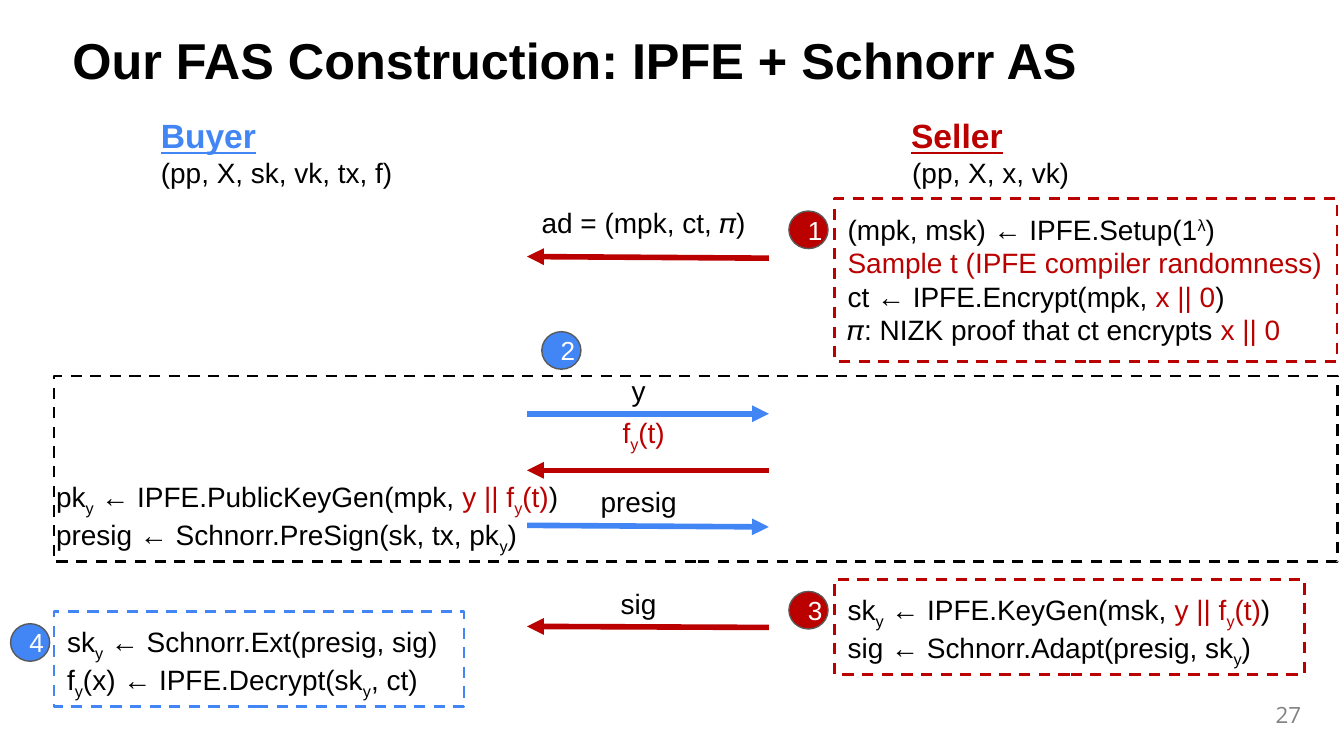
import pptx
import pptx.util
import pptx.dml.color
import pptx.enum.dml
import pptx.enum.shapes
import pptx.enum.text
import pptx.oxml.ns
import lxml.etree

Cm = pptx.util.Cm
Pt = pptx.util.Pt
Kind = pptx.enum.shapes.MSO_SHAPE
Align = pptx.enum.text.PP_ALIGN
Anchor = pptx.enum.text.MSO_ANCHOR
qn = pptx.oxml.ns.qn


class Theme:
    black = pptx.dml.color.RGBColor.from_string("000000")
    white = pptx.dml.color.RGBColor.from_string("FFFFFF")
    red = pptx.dml.color.RGBColor.from_string("BB0000")
    blue = pptx.dml.color.RGBColor.from_string("4285F4")
    edge = pptx.dml.color.RGBColor.from_string("595959")
    gray = pptx.dml.color.RGBColor.from_string("828282")
    title = Pt(27)
    head = Pt(18)
    body = Pt(15)
    badge = Pt(14)
    page = Pt(12)


def write(shape, text, size=Theme.body, color=Theme.black, font="Arial", bold=False,
          line=False, align=Align.LEFT, anchor=Anchor.TOP, inset=0.25, space=None):
    frame = shape.text_frame
    frame.word_wrap = True
    frame.vertical_anchor = anchor
    frame.margin_left = frame.margin_right = Cm(inset)
    frame.margin_top = frame.margin_bottom = Cm(inset)
    for row in text.split("\n"):
        para = frame.add_paragraph() if frame.text else frame.paragraphs[0]
        para.alignment = align
        para.line_spacing = space
        for i, part in enumerate(row.split("~")):
            for j, word in enumerate(part.split("`")):
                if not word:
                    continue
                run = para.add_run()
                run.text = word
                run.font.name = font
                run.font.size = size
                run.font.bold = bold
                run.font.underline = line
                run.font.color.rgb = Theme.red if i % 2 else color
                if j % 2:
                    base = "30000" if word == "λ" else "-25000"
                    run.font._element.set("baseline", base)


deck = pptx.Presentation()
deck.slide_width = Cm(25.4)
deck.slide_height = Cm(14.29)
slide = deck.slides.add_slide(deck.slide_layouts[6])
shapes = slide.shapes

title = shapes.add_textbox(Cm(1.27), Cm(0.58), Cm(24.13), Cm(1.22))
write(title, "Our FAS Construction: IPFE + Schnorr AS", size=Theme.title, bold=True,
      anchor=Anchor.MIDDLE, inset=0.1, space=0.9)

page = shapes.add_textbox(Cm(23.95), Cm(13.16), Cm(0.74), Cm(0.71))
write(page, "27", size=Theme.page, color=Theme.gray, font="Open Sans",
      align=Align.RIGHT, anchor=Anchor.MIDDLE, inset=0.1)

boxes = [
    (1.02, 7.11, 24.26, 3.51, Theme.black, ""),
    (15.77, 3.76, 9.5, 3.07, Theme.red,
     "(mpk, msk) ← IPFE.Setup(1`λ`)\n~Sample t (IPFE compiler randomness)~\n"
     "ct ← IPFE.Encrypt(mpk, ~x || 0~)\n𝜋: NIZK proof that ct encrypts ~x || 0~"),
    (15.77, 10.95, 8.89, 1.8, Theme.red,
     "sk`y` ← IPFE.KeyGen(msk, ~y || f`y`(t)~)\nsig ← Schnorr.Adapt(presig, sk`y`)"),
    (1.02, 11.56, 7.75, 1.8, Theme.blue,
     "sk`y` ← Schnorr.Ext(presig, sig)\nf`y`(x) ← IPFE.Decrypt(sk`y`, ct)"),
]
for x, y, w, h, color, text in boxes:
    box = shapes.add_shape(Kind.RECTANGLE, Cm(x), Cm(y), Cm(w), Cm(h))
    box.shadow.inherit = False
    box.fill.background()
    box.line.color.rgb = color
    box.line.width = Pt(1.5)
    box.line.dash_style = pptx.enum.dml.MSO_LINE.DASH
    if text:
        write(box, text)

keys = shapes.add_textbox(Cm(0.81), Cm(8.81), Cm(10.36), Cm(1.8))
write(keys, "pk`y` ← IPFE.PublicKeyGen(mpk, ~y || f`y`(t)~)\n"
            "presig ← Schnorr.PreSign(sk, tx, pk`y`)")

left, right = 9.96, 14.53
arrows = [
    (right, 4.88, left, 4.85, Theme.red),
    (left, 7.82, right, 7.82, Theme.blue),
    (right, 8.89, left, 8.89, Theme.red),
    (left, 9.93, right, 9.96, Theme.blue),
    (right, 11.86, left, 11.84, Theme.red),
]
for x, y, end, drop, color in arrows:
    arrow = shapes.add_connector(pptx.enum.shapes.MSO_CONNECTOR.STRAIGHT,
                                 Cm(x), Cm(y), Cm(end), Cm(drop))
    arrow.line.color.rgb = color
    arrow.line.width = Pt(3)
    lxml.etree.SubElement(arrow.line._get_or_add_ln(), qn("a:tailEnd"), type="triangle")
    lxml.etree.SubElement(arrow._element.spPr, qn("a:effectLst"))

labels = [
    (9.7, 3.76, 4.93, "ad = (mpk, ct, 𝜋)"),
    (10.24, 6.93, 3.66, "y"),
    (9.7, 7.77, 4.93, "~f`y`(t)~"),
    (10.24, 9.04, 3.66, "presig"),
    (11.18, 10.95, 1.78, "sig"),
]
for x, y, w, text in labels:
    label = shapes.add_textbox(Cm(x), Cm(y), Cm(w), Cm(0.89))
    write(label, text, align=Align.CENTER, anchor=Anchor.MIDDLE)

badges = [
    (14.91, 3.99, Theme.red),
    (10.24, 6.27, Theme.blue),
    (14.91, 11.18, Theme.red),
    (0.2, 11.79, Theme.blue),
]
for step, (x, y, color) in enumerate(badges, 1):
    badge = shapes.add_shape(Kind.OVAL, Cm(x), Cm(y), Cm(0.74), Cm(0.71))
    badge.shadow.inherit = False
    badge.fill.solid()
    badge.fill.fore_color.rgb = color
    badge.line.color.rgb = Theme.edge
    badge.line.width = Pt(0.75)
    write(badge, str(step), size=Theme.badge, color=Theme.white,
          align=Align.CENTER, anchor=Anchor.MIDDLE)
    props = badge.text_frame.paragraphs[0]._p.get_or_add_pPr()
    props.set("marL", "0")
    props.set("indent", str(-Cm(0.3)))

roles = [
    (2.79, 5.44, "Buyer", "(pp, X, sk, vk, tx, f)", Theme.blue, Align.LEFT),
    (16.97, 3.51, "Seller", "(pp, X, x, vk)", Theme.red, Align.CENTER),
]
for x, w, name, input, color, align in roles:
    role = shapes.add_textbox(Cm(x), Cm(1.93), Cm(w), Cm(1.93))
    write(role, name, size=Theme.head, color=color, bold=True, line=True)
    write(role, input, align=align)

deck.save("out.pptx")
